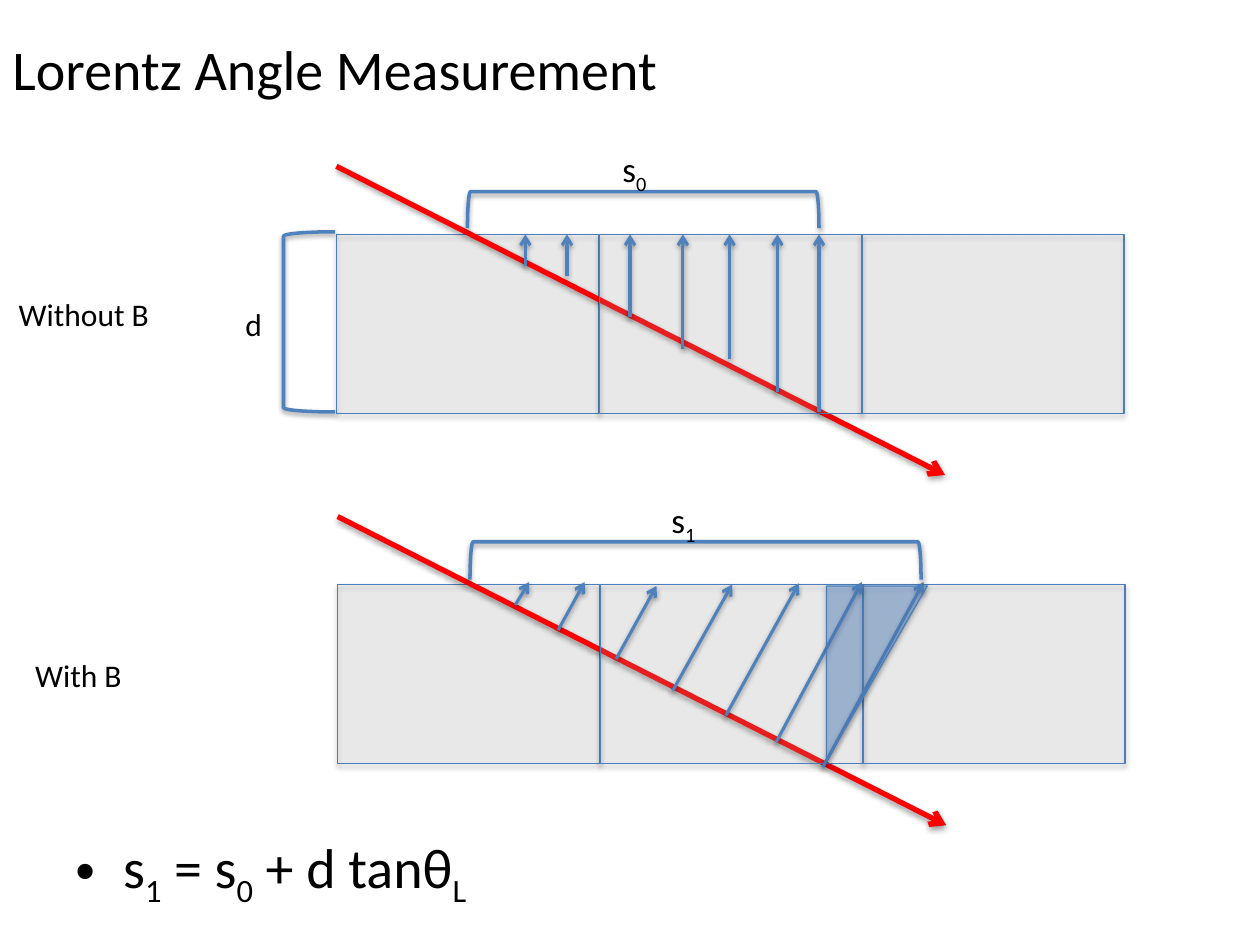
from typing import NamedTuple

from lxml import etree
from pptx import Presentation
from pptx.dml.color import RGBColor
from pptx.enum.shapes import MSO_CONNECTOR, MSO_SHAPE
from pptx.enum.text import MSO_ANCHOR
from pptx.oxml.ns import qn
from pptx.util import Inches, Pt

LINE = MSO_CONNECTOR.STRAIGHT
RECT = MSO_SHAPE.RECTANGLE
BRACKET = MSO_SHAPE.LEFT_BRACKET
TRIANGLE = MSO_SHAPE.RIGHT_TRIANGLE
TOP, MIDDLE = MSO_ANCHOR.TOP, MSO_ANCHOR.MIDDLE

BLACK = RGBColor(0x00, 0x00, 0x00)
GREY = RGBColor(0xBF, 0xBF, 0xBF)
RED = RGBColor(0xFF, 0x00, 0x00)
BLUE = RGBColor(0x4F, 0x81, 0xBD)
EDGE = RGBColor(0x4B, 0x7E, 0xBC)
WEDGE = RGBColor(0x55, 0x8E, 0xD5)

FONT = "Calibri"
CELL_W, CELL_H, CELL_STEP = 2.08, 1.42, 2.085


class Box(NamedTuple):
    left: float
    top: float
    width: float
    height: float


class Drift(NamedTuple):
    x: float
    y: float
    tip_x: float
    tip_y: float


class Panel(NamedTuple):
    left: float
    top: float
    drifts: list[Drift]
    bracket: Box
    label: Box
    index: str


WITHOUT_B = Panel(
    2.67, 1.86,
    [Drift(x, y, x, 1.86) for x, y in (
        (4.17, 2.11), (4.5, 2.19), (5, 2.52), (5.42, 2.77),
        (5.79, 2.85), (6.17, 3.11), (6.5, 3.27))],
    Box(4.96, 0.27, 0.29, 2.79), Box(4.84, 1.12, 0.75, 0.44), "0")
WITH_B = Panel(
    2.68, 4.64,
    [Drift(4.09, 4.8, 4.2, 4.62), Drift(4.43, 5, 4.64, 4.62),
     Drift(4.89, 5.23, 5.21, 4.65), Drift(5.34, 5.48, 5.81, 4.64),
     Drift(5.76, 5.68, 6.34, 4.63), Drift(6.16, 5.89, 6.84, 4.62),
     Drift(6.53, 6.09, 7.33, 4.62)],
    Box(5.37, 2.66, 0.3, 3.58), Box(5.23, 3.91, 0.69, 0.44), "1")


def add_shadow(sp, alpha: int, dist: float) -> None:
    effects = etree.SubElement(sp._element.spPr, qn("a:effectLst"))
    shadow = etree.SubElement(
        effects, qn("a:outerShdw"), blurRad=str(Pt(3.1)), dist=str(Pt(dist)),
        dir="5400000", rotWithShape="0")
    color = etree.SubElement(shadow, qn("a:srgbClr"), val=str(BLACK))
    etree.SubElement(color, qn("a:alpha"), val=str(alpha * 1000))


def add_filled(slide, kind, box: Box, color: RGBColor, alpha: int):
    sp = slide.shapes.add_shape(kind, *map(Inches, box))
    sp.fill.solid()
    sp.fill.fore_color.rgb = color
    fill = sp._element.spPr.find(qn("a:solidFill"))
    etree.SubElement(fill[0], qn("a:alpha"), val=str(alpha * 1000))
    sp.line.color.rgb = EDGE
    sp.line.width = Pt(0.75)
    add_shadow(sp, 35, 1.8)
    return sp


def add_arrow(slide, drift: Drift, color: RGBColor, width: float) -> None:
    cn = slide.shapes.add_connector(LINE, *map(Inches, drift))
    cn.line.color.rgb = color
    cn.line.width = Pt(width)
    etree.SubElement(cn.line._get_or_add_ln(), qn("a:tailEnd"), type="arrow")
    add_shadow(cn, 38, 1.6)


def add_bracket(slide, box: Box, rotation: float = 0) -> None:
    sp = slide.shapes.add_shape(BRACKET, *map(Inches, box))
    sp.rotation = rotation
    sp.fill.background()
    sp.line.color.rgb = BLUE
    sp.line.width = Pt(2)
    add_shadow(sp, 38, 1.6)


def add_text(slide, box: Box, text: str, *, size: float = 18,
             anchor=TOP, bullet: bool = False) -> None:
    """Write text in which each part after "_" is a one-letter subscript."""
    tf = slide.shapes.add_textbox(*map(Inches, box)).text_frame
    tf.word_wrap = True
    tf.vertical_anchor = anchor
    p = tf.paragraphs[0]
    first, *rest = text.split("_")
    parts = [(first, False)]
    for part in rest:
        parts += [(part[0], True), (part[1:], False)]
    for content, lowered in parts:
        if not content:
            continue
        r = p.add_run()
        r.text = content
        r.font.name = FONT
        r.font.size = Pt(size)
        r.font.color.rgb = BLACK
        if lowered:
            r.font._element.set("baseline", "-25000")
    if bullet:
        p.space_before = Pt(size * 0.2)
        ppr = p._p.get_or_add_pPr()
        ppr.set("marL", str(Inches(0.38)))
        ppr.set("indent", str(Inches(-0.38)))
        etree.SubElement(ppr, qn("a:buFont"), typeface="Arial")
        etree.SubElement(ppr, qn("a:buChar"), char="•")


def add_panel(slide, panel: Panel) -> None:
    x, y = panel.left, panel.top
    track = Drift(x, y - 0.54, x + 4.83, y + 1.91)
    for i in range(3):
        cell = Box(x + i * CELL_STEP, y, CELL_W, CELL_H)
        add_filled(slide, RECT, cell, GREY, 16)
        if i == 0:  # the track runs beneath the later cells
            add_arrow(slide, track, RED, 3)
    for drift in panel.drifts:
        add_arrow(slide, drift, BLUE, 1.75)
    add_bracket(slide, panel.bracket, 90)
    add_text(slide, panel.label, f"s_{panel.index}", size=20)


def main() -> None:
    prs = Presentation()
    prs.slide_width, prs.slide_height = Inches(10), Inches(7.5)
    slide = prs.slides.add_slide(prs.slide_layouts[6])

    # Title and formula
    add_text(slide, Box(0, 0, 5.58, 1.08), "Lorentz Angle Measurement",
             size=32, anchor=MIDDLE)
    add_text(slide, Box(0.5, 6.56, 9, 0.74), "s_1 = s_0 + d tanθ_L",
             size=32, bullet=True)

    # Sensor without field, with its depth
    add_panel(slide, WITHOUT_B)
    add_text(slide, Box(0.05, 2.29, 2.25, 0.4), "Without B")
    add_text(slide, Box(0.18, 5.16, 1.22, 0.4), "With B")
    add_bracket(slide, Box(2.25, 1.84, 0.41, 1.43))
    add_text(slide, Box(1.85, 2.37, 0.47, 0.4), "d")

    # Sensor in the field, with the Lorentz angle wedge
    add_panel(slide, WITH_B)
    wedge = add_filled(slide, TRIANGLE, Box(6.56, 4.65, 0.8, 1.39), WEDGE, 39)
    wedge.rotation = 180
    wedge._element.spPr.find(qn("a:xfrm")).set("flipH", "1")

    prs.save("out.pptx")


if __name__ == "__main__":
    main()
